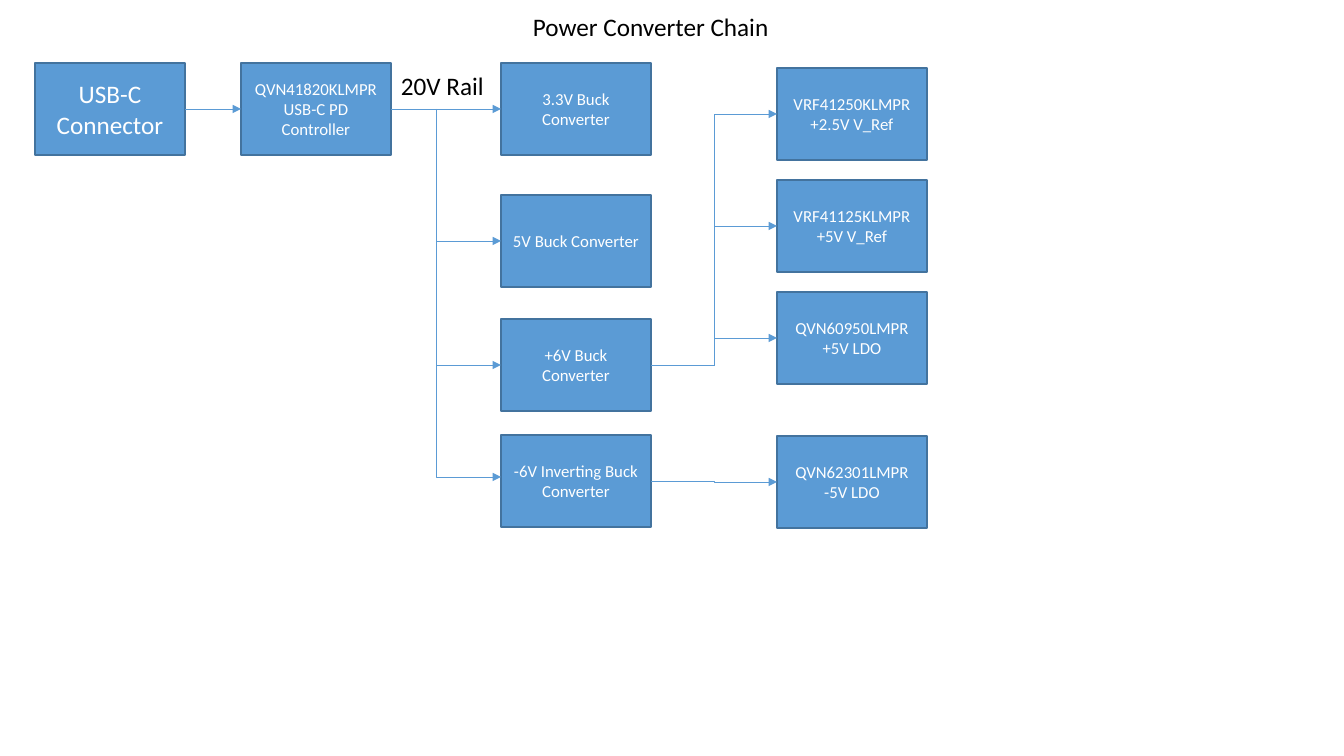
from lxml.etree import SubElement
from pptx import Presentation
from pptx.dml.color import RGBColor
from pptx.enum.shapes import MSO_CONNECTOR as Link, MSO_SHAPE as Preset
from pptx.enum.text import MSO_ANCHOR as Anchor, PP_ALIGN as Align
from pptx.oxml.ns import qn
from pptx.util import Emu, Pt

COLORS = {"fill": "5B9BD5", "edge": "43739E", "light": "FFFFFF", "dark": "000000"}
SCALE = 914400 / 100.8
BOX_WIDTH, BOX_HEIGHT = 150, 92
RIGHT_SIDE, LEFT_SIDE = 3, 1


def px(length):
    return Emu(round(length * SCALE))


def color(name):
    return RGBColor.from_string(COLORS[name])


def write(frame, lines, size, ink, align):
    for index, line in enumerate(lines):
        para = frame.paragraphs[0] if index == 0 else frame.add_paragraph()
        para.alignment = align
        span = para.add_run()
        span.text = line
        span.font.name = "Calibri"
        span.font.size = Pt(size)
        span.font.color.rgb = color(ink)


def add_block(page, left, top, lines, size=12):
    box = page.shapes.add_shape(
        Preset.RECTANGLE, px(left), px(top), px(BOX_WIDTH), px(BOX_HEIGHT))
    box.shadow.inherit = False
    box.fill.solid()
    box.fill.fore_color.rgb = color("fill")
    box.line.color.rgb = color("edge")
    box.line.width = Pt(1)
    box.text_frame.word_wrap = True
    box.text_frame.vertical_anchor = Anchor.MIDDLE
    write(box.text_frame, lines, size, "light", Align.CENTER)
    return box


def add_column(page, left, blocks):
    return [add_block(page, left, top, lines) for top, lines in blocks]


def add_label(page, left, top, width, height, text, wrap):
    box = page.shapes.add_textbox(px(left), px(top), px(width), px(height))
    box.text_frame.word_wrap = wrap
    write(box.text_frame, [text], 18, "dark", Align.LEFT)


def style_arrow(arrow):
    arrow.line.color.rgb = color("fill")
    arrow.line.width = Pt(0.5)
    properties = arrow._element.spPr
    SubElement(properties.find(qn("a:ln")), qn("a:tailEnd"), type="triangle")
    SubElement(properties, qn("a:effectLst"))


def join(page, source, target, kind=Link.ELBOW):
    arrow = page.shapes.add_connector(kind, 0, 0, 0, 0)
    arrow.begin_connect(source, RIGHT_SIDE)
    arrow.end_connect(target, LEFT_SIDE)
    style_arrow(arrow)


def add_branch(page, left, top, right, bottom):
    run, drop = right - left, bottom - top
    frame_left = (left + right - drop) / 2
    frame_top = (top + bottom - run) / 2
    arrow = page.shapes.add_connector(
        Link.ELBOW, px(frame_left + drop), px(frame_top),
        px(frame_left), px(frame_top + run))
    properties = arrow._element.spPr
    properties.find(qn("a:prstGeom")).set("prst", "bentConnector2")
    properties.find(qn("a:xfrm")).set("rot", str(270 * 60000))
    style_arrow(arrow)


def build_power_chain(page, left, top):
    usb = add_block(page, left, top, ["USB-C Connector"], 18)
    controller = add_block(
        page, left + 206, top, ["QVN41820KLMPR", "USB-C PD Controller"])
    bucks = add_column(page, left + 466, [
        (top, ["3.3V Buck Converter"]),
        (top + 132, ["5V Buck Converter"]),
        (top + 256, ["+6V Buck Converter"]),
        (top + 372, ["-6V Inverting Buck Converter"]),
    ])
    outputs = [
        ["VRF41250KLMPR", "+2.5V V_Ref"],
        ["VRF41125KLMPR", "+5V V_Ref"],
        ["QVN60950LMPR", "+5V LDO"],
    ]
    positives = add_column(page, left + 742, [
        (top + 5 + 112 * row, lines) for row, lines in enumerate(outputs)])
    negative = add_block(
        page, left + 742, top + 373, ["QVN62301LMPR", "-5V LDO"])

    join(page, usb, controller, Link.STRAIGHT)
    join(page, controller, bucks[0], Link.STRAIGHT)
    for output in positives:
        join(page, bucks[2], output)
    join(page, bucks[3], negative)
    for start, end in [(46, 178), (46, 302), (282, 414)]:
        add_branch(page, left + 401, top + start, left + 466, top + end)
    add_label(page, left + 356, top + 2, 104, 40, "20V Rail", False)


def main():
    deck = Presentation()
    deck.slide_width, deck.slide_height = px(1344), px(756)
    page = deck.slides.add_slide(deck.slide_layouts[6])
    add_label(page, 523, 6, 485, 42, "Power Converter Chain", True)
    build_power_chain(page, 35, 63)
    deck.save("out.pptx")


if __name__ == "__main__":
    main()
